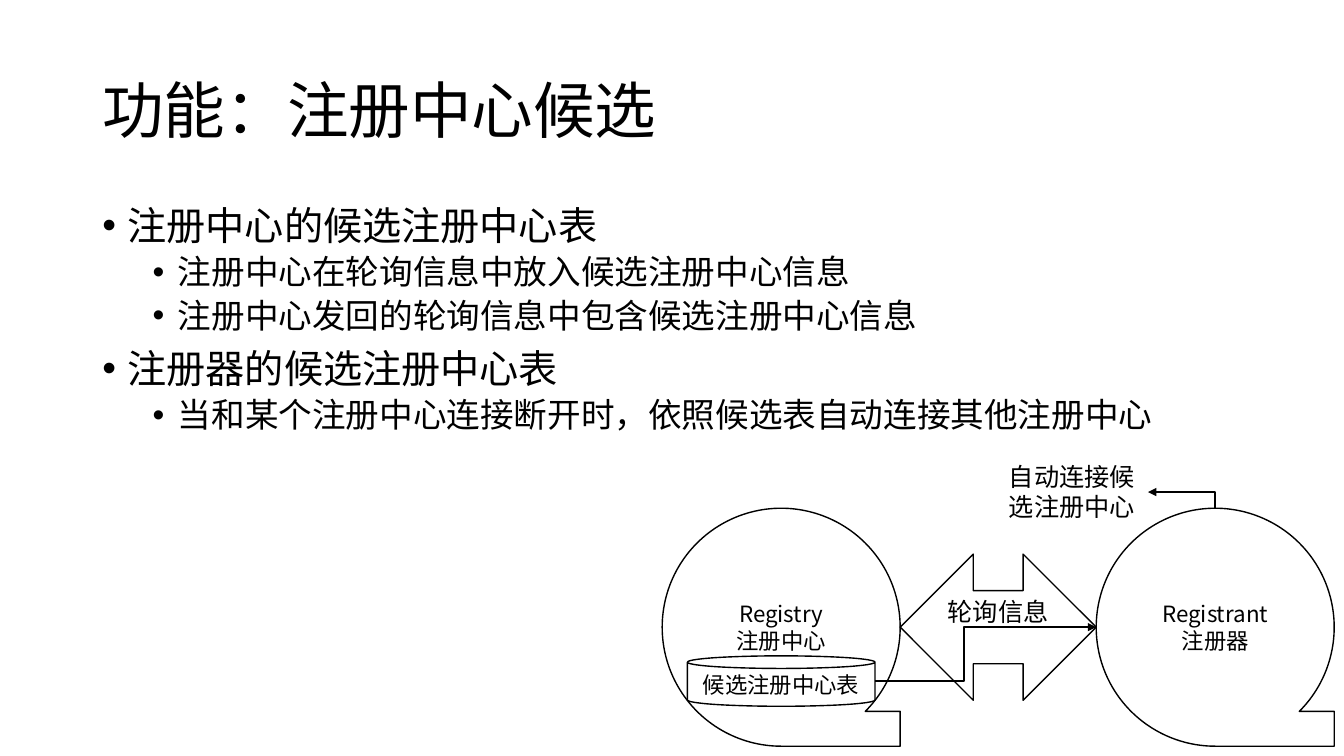
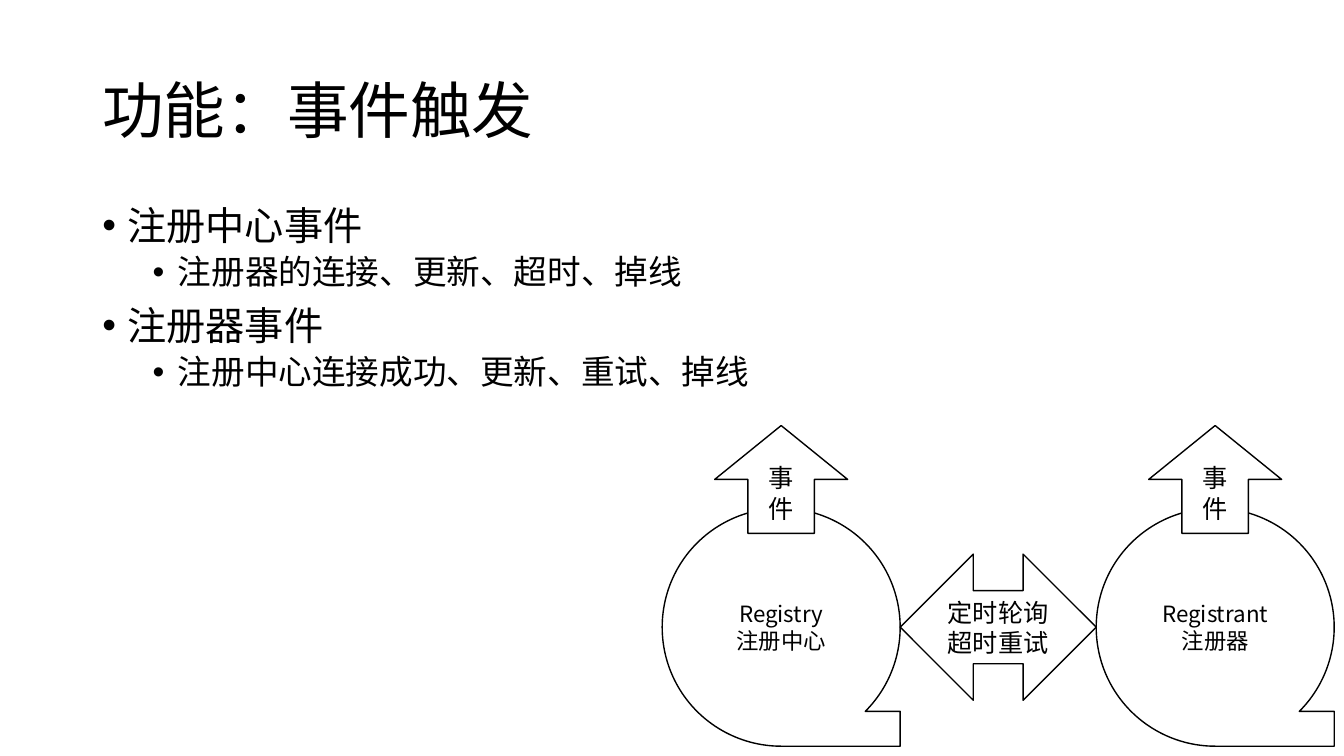
from dataclasses import dataclass

from lxml.etree import SubElement
from pptx import Presentation
from pptx.dml.color import RGBColor
from pptx.enum.shapes import MSO_CONNECTOR, MSO_SHAPE
from pptx.enum.text import MSO_ANCHOR, PP_ALIGN
from pptx.oxml.ns import qn
from pptx.util import Pt

SLIDES = [
    {
        "title": "功能：注册中心候选",
        "bullets": [
            (0, "注册中心的候选注册中心表"),
            (1, "注册中心在轮询信息中放入候选注册中心信息"),
            (1, "注册中心发回的轮询信息中包含候选注册中心信息"),
            (0, "注册器的候选注册中心表"),
            (1, "当和某个注册中心连接断开时，依照候选表自动连接其他注册中心"),
        ],
        "exchange": ["轮询信息"],
        "table": "候选注册中心表",
        "fallback": "自动连接候选注册中心",
    },
    {
        "title": "功能：事件触发",
        "bullets": [
            (0, "注册中心事件"),
            (1, "注册器的连接、更新、超时、掉线"),
            (0, "注册器事件"),
            (1, "注册中心连接成功、更新、重试、掉线"),
        ],
        "exchange": ["定时轮询", "超时重试"],
        "event": "事件",
    },
]
NODES = [["Registry", "注册中心"], ["Registrant", "注册器"]]


@dataclass(frozen=True)
class Theme:
    """Colours, font, type sizes and line widths of the deck."""
    ink: RGBColor = RGBColor(0, 0, 0)
    paper: RGBColor = RGBColor(255, 255, 255)
    font: str = "Noto Sans CJK SC"
    title: int = 44
    levels: tuple = (28, 24)
    node: int = 16
    label: int = 18
    outline: float = 1
    wire: float = 1.5


THEME = Theme()
MARGIN, CONTENT_WIDTH = 66, 828
NODE_LEFT, NODE_TOP, NODE_SIZE, NODE_GAP = 473, 363, 170, 140
MIDDLE = NODE_TOP + NODE_SIZE / 2
NODE_LEFTS = [NODE_LEFT + index * (NODE_SIZE + NODE_GAP) for index in range(len(NODES))]
CENTERS = [left + NODE_SIZE / 2 for left in NODE_LEFTS]
EXCHANGE_HEIGHT, LABEL_LINE = 104.4, 22
EVENT_WIDTH, EVENT_HEIGHT, EVENT_TOP = 95, 77, 304
TABLE_WIDTH, TABLE_HEIGHT, TABLE_TOP = 134, 36, 468.5
NOTE_WIDTH, NOTE_HEIGHT, NOTE_TOP, NOTE_RIGHT = 106.5, 51, 326, 820
WIRE_BEND = 40400


def write(box, lines, size, align=PP_ALIGN.LEFT, anchor=MSO_ANCHOR.TOP, spacing=None):
    """Fill a box with one paragraph per line and return the paragraphs."""
    frame = box.text_frame
    frame.word_wrap = True
    frame.vertical_anchor = anchor
    frame.text = "\n".join(lines)
    for para in frame.paragraphs:
        para.alignment = align
        para.line_spacing = spacing
        for span in para.runs:
            span.font.size = Pt(size)
            span.font.name = THEME.font
            span.font.color.rgb = THEME.ink
            SubElement(span.font._element, qn("a:ea"), typeface=THEME.font)
    return frame.paragraphs


def add_text(page, lines, left, top, width, height, size, **style):
    """Add a text box and return its paragraphs."""
    box = page.shapes.add_textbox(Pt(left), Pt(top), Pt(width), Pt(height))
    return write(box, lines, size, **style)


def add_outlined(page, kind, lines, left, top, width, height, size):
    """Add a white outlined shape with centred text."""
    shape = page.shapes.add_shape(kind, Pt(left), Pt(top), Pt(width), Pt(height))
    shape.shadow.inherit = False
    shape.fill.solid()
    shape.fill.fore_color.rgb = THEME.paper
    shape.line.color.rgb = THEME.ink
    shape.line.width = Pt(THEME.outline)
    write(shape, lines, size, align=PP_ALIGN.CENTER, anchor=MSO_ANCHOR.MIDDLE)
    return shape


def add_wire(page, start, finish, arrow_end):
    """Add an elbow connector with an arrowhead at headEnd or tailEnd."""
    wire = page.shapes.add_connector(MSO_CONNECTOR.ELBOW, *map(Pt, start + finish))
    wire.line.color.rgb = THEME.ink
    wire.line.width = Pt(THEME.wire)
    properties = wire._element.spPr
    SubElement(properties.find(qn("a:ln")), qn(f"a:{arrow_end}"), type="triangle")
    SubElement(properties, qn("a:effectLst"))
    return properties.find(qn("a:prstGeom"))


def add_heading(page, title):
    """Add the slide title."""
    add_text(page, [title], MARGIN, 29, CONTENT_WIDTH, 104, THEME.title,
             anchor=MSO_ANCHOR.MIDDLE, spacing=0.9)


def add_bullets(page, bullets):
    """Add the two-level bullet list."""
    paras = add_text(page, [text for _, text in bullets], MARGIN, 144, CONTENT_WIDTH, 343,
                     THEME.levels[0], spacing=0.9)
    for para, (level, _) in zip(paras, bullets):
        para.level = level
        para.space_before = Pt((10, 5)[level])
        para.runs[0].font.size = Pt(THEME.levels[level])
        properties = para._p.get_or_add_pPr()
        properties.set("marL", str(Pt(18 + 36 * level)))
        properties.set("indent", str(Pt(-18)))
        SubElement(properties, qn("a:buFont"), typeface="Arial")
        SubElement(properties, qn("a:buChar"), char="•")


def add_nodes(page):
    """Add the registry and the registrant."""
    for left, lines in zip(NODE_LEFTS, NODES):
        add_outlined(page, MSO_SHAPE.FLOWCHART_SEQUENTIAL_ACCESS_STORAGE, lines,
                     left, NODE_TOP, NODE_SIZE, NODE_SIZE, THEME.node)


def add_exchange(page, lines):
    """Add the two-way arrow between the nodes, its text starting on the first of two lines."""
    arrow = add_outlined(page, MSO_SHAPE.LEFT_RIGHT_ARROW, lines, NODE_LEFT + NODE_SIZE,
                         MIDDLE - EXCHANGE_HEIGHT / 2, NODE_GAP, EXCHANGE_HEIGHT, THEME.label)
    arrow.text_frame.margin_bottom = Pt(3.6 + LABEL_LINE * (2 - len(lines)))


def add_candidates(page, table, fallback):
    """Add the candidate table, its wire to the registrant and the fallback note."""
    table_left = CENTERS[0] - TABLE_WIDTH / 2
    add_outlined(page, MSO_SHAPE.CAN, [table], table_left, TABLE_TOP,
                 TABLE_WIDTH, TABLE_HEIGHT, THEME.node)
    geometry = add_wire(page, (table_left + TABLE_WIDTH, TABLE_TOP + TABLE_HEIGHT / 2),
                        (NODE_LEFTS[1], MIDDLE), "tailEnd")
    SubElement(geometry.find(qn("a:avLst")), qn("a:gd"), name="adj1", fmla=f"val {WIRE_BEND}")
    add_text(page, [fallback], NOTE_RIGHT - NOTE_WIDTH, NOTE_TOP,
             NOTE_WIDTH, NOTE_HEIGHT, THEME.label)
    corner = add_wire(page, (NOTE_RIGHT, NOTE_TOP + NOTE_HEIGHT / 2),
                      (CENTERS[1], NODE_TOP), "headEnd")
    corner.set("prst", "bentConnector2")


def add_events(page, event):
    """Add an upward event arrow on each node."""
    for center in CENTERS:
        add_outlined(page, MSO_SHAPE.UP_ARROW, [event], center - EVENT_WIDTH / 2, EVENT_TOP,
                     EVENT_WIDTH, EVENT_HEIGHT, THEME.label)


def build():
    """Build the deck and save it."""
    deck = Presentation()
    deck.slide_width, deck.slide_height = Pt(960), Pt(540)
    for content in SLIDES:
        page = deck.slides.add_slide(deck.slide_layouts[6])
        add_bullets(page, content["bullets"])
        add_heading(page, content["title"])
        add_nodes(page)
        add_exchange(page, content["exchange"])
        if "table" in content:
            add_candidates(page, content["table"], content["fallback"])
        if "event" in content:
            add_events(page, content["event"])
    deck.save("out.pptx")


build()
